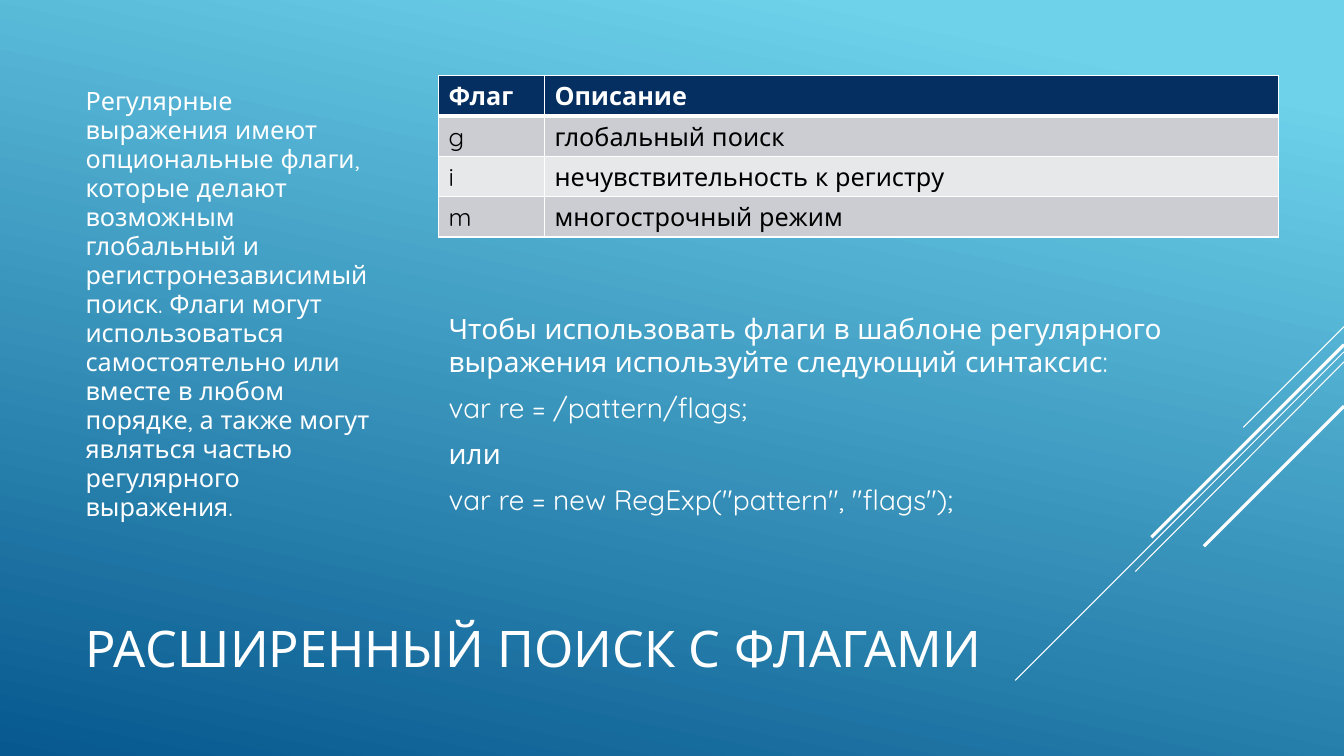
from lxml import etree
from pptx import Presentation
from pptx.dml.color import RGBColor
from pptx.enum import shapes, text
from pptx.oxml import ns
from pptx.util import Inches, Pt

TITLE = "РАСШИРЕННЫЙ ПОИСК С ФЛАГАМИ"
INTRO = [
    "Регулярные выражения имеют опциональные флаги, которые делают возможным "
    "глобальный и регистронезависимый поиск. Флаги могут использоваться "
    "самостоятельно или вместе в любом порядке, а также могут являться частью "
    "регулярного выражения."
]
SYNTAX = [
    "Чтобы использовать флаги в шаблоне регулярного выражения используйте "
    "следующий синтаксис:",
    "var re = /pattern/flags;",
    "или",
    'var re = new RegExp("pattern", "flags");',
]
FLAGS = [
    ("Флаг", "Описание"),
    ("g", "глобальный поиск"),
    ("i", "нечувствительность к регистру"),
    ("m", "многострочный режим"),
]
WIDTHS = (1.05, 7.28)
ROW = 0.4
# Diagonals from the right edge: start y, end x, end y, weight
RAYS = [
    (3.24, 12.33, 4.24, 0.75),
    (3.49, 10.07, 6.75, 0.75),
    (3.59, 11.26, 5.67, 0.75),
    (3.42, 11.42, 5.33, 2.25),
    (4.03, 11.94, 5.42, 2.25),
]
FONT = "Quicksand"
COLORS = {
    "sky": "6ED2EB", "deep": "06588E", "white": "FFFFFF", "black": "000000",
    "head": "052F61", "odd": "CCCDD2", "even": "E7E8EA",
}
WIDE, HIGH = 13.33, 7.5


def rgb(name):
    return RGBColor.from_string(COLORS[name])


def write(para, words, size, color="white", bold=False):
    run = para.add_run()
    run.text = words
    font = run.font
    font.name, font.size, font.bold = FONT, Pt(size), bold
    font.color.rgb = rgb(color)


def add_text(box, lines, size):
    frame = slide.shapes.add_textbox(*map(Inches, box)).text_frame
    frame.word_wrap = True
    frame.vertical_anchor = text.MSO_ANCHOR.MIDDLE
    for i, line in enumerate(lines):
        para = frame.add_paragraph() if i else frame.paragraphs[0]
        para.line_spacing = 0.96
        para.space_before = Pt(size * 0.2 if i else 0)
        para.space_after = Pt(6)
        write(para, line, size)


def add_edges(cell, base):
    props = cell._tc.get_or_add_tcPr()
    weights = {"lnL": 1, "lnR": 1, "lnT": 1, "lnB": base}
    for i, (tag, weight) in enumerate(weights.items()):
        line = etree.Element(ns.qn("a:" + tag), w=str(Pt(weight)))
        fill = etree.SubElement(line, ns.qn("a:solidFill"))
        etree.SubElement(fill, ns.qn("a:srgbClr"), val=COLORS["white"])
        props.insert(i, line)


deck = Presentation()
deck.slide_width, deck.slide_height = Inches(WIDE), Inches(HIGH)
slide = deck.slides.add_slide(deck.slide_layouts[5])

# Background
back = slide.background.fill
back.gradient()
back.gradient_angle = 360 - 102
for stop, (name, place) in zip(back.gradient_stops, [("sky", 0.1), ("deep", 1)]):
    stop.color.rgb = rgb(name)
    stop.position = place

# Diagonal lines
for top, x, y, weight in RAYS:
    ray = slide.shapes.add_connector(
        shapes.MSO_CONNECTOR.STRAIGHT, *map(Inches, (WIDE, top, x, y)))
    ray.line.color.rgb = rgb("white")
    ray.line.width = Pt(weight)
    etree.SubElement(ray._element.spPr, ns.qn("a:effectLst"))

# Title
title = slide.shapes.title
title.left, title.top, title.width, title.height = map(
    Inches, (0.75, 5.6, 11.59, 1.65))
title.text_frame.vertical_anchor = text.MSO_ANCHOR.MIDDLE
title.text_frame.word_wrap = True
para = title.text_frame.paragraphs[0]
para.alignment = text.PP_ALIGN.LEFT
write(para, TITLE, 36)

# Text blocks
add_text((0.75, 0.75, 3.12, 4.55), INTRO, 18)
add_text((4.35, 2.96, 8.11, 2.33), SYNTAX, 20)

# Table of flags
grid = slide.shapes.add_table(
    len(FLAGS), len(WIDTHS), Inches(4.35), Inches(0.75),
    Inches(sum(WIDTHS)), Inches(ROW * len(FLAGS))).table
for col, width in zip(grid.columns, WIDTHS):
    col.width = Inches(width)
for r, row in enumerate(FLAGS):
    grid.rows[r].height = Inches(ROW)
    shade = "head" if r == 0 else "odd" if r % 2 else "even"
    for c, words in enumerate(row):
        cell = grid.cell(r, c)
        cell.fill.solid()
        cell.fill.fore_color.rgb = rgb(shade)
        add_edges(cell, 1 if r else 3)
        write(cell.text_frame.paragraphs[0], words, 18,
              "black" if r else "white", r == 0)

deck.save("out.pptx")
